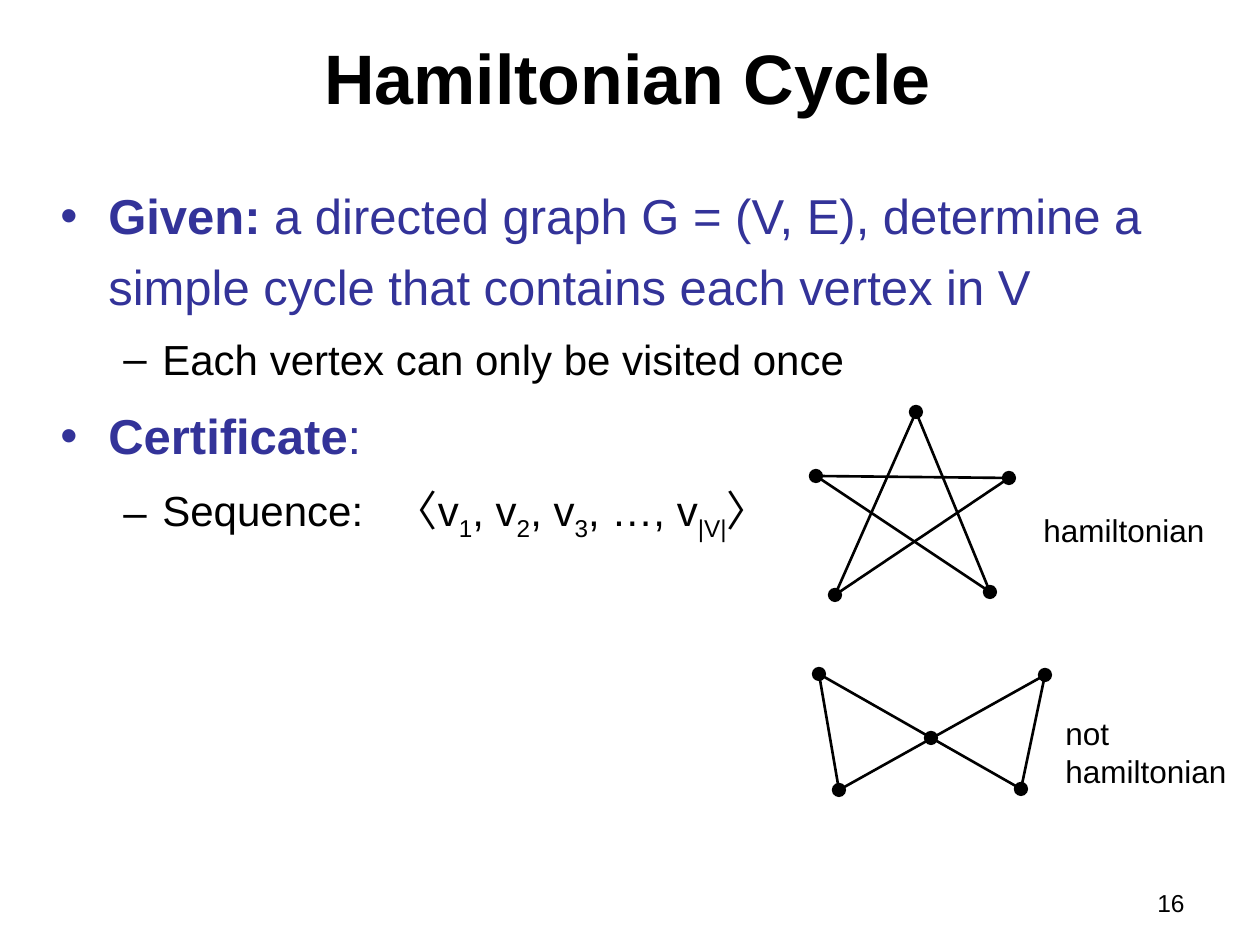
import pptx
import pptx.dml.color
import pptx.enum.shapes
import pptx.enum.text
import pptx.oxml.ns
import pptx.util
from lxml import etree

PX = 914400 / 126
BLACK, BLUE = "000000", "333399"
DOT = 13
ALIGN = pptx.enum.text.PP_ALIGN
ANCHOR = pptx.enum.text.MSO_ANCHOR


def px(n):
    return pptx.util.Emu(round(n * PX))


def rgb(color):
    return pptx.dml.color.RGBColor.from_string(color)


def child(parent, tag, **attrs):
    return etree.SubElement(parent, pptx.oxml.ns.qn(tag), attrs)


def add_run(p, text, size, color=BLACK, bold=False):
    r = p.add_run()
    r.text = text
    r.font.name = "Arial"
    r.font.size = pptx.util.Pt(size)
    r.font.bold = bold
    r.font.color.rgb = rgb(color)
    return r


def add_box(s, x, y, w, h, wrap=True, anchor=ANCHOR.TOP):
    tf = s.shapes.add_textbox(px(x), px(y), px(w), px(h)).text_frame
    tf.word_wrap = wrap
    tf.vertical_anchor = anchor
    return tf


def add_line_of_text(s, box, text, size, align, bold=False, anchor=ANCHOR.TOP):
    p = add_box(s, *box, anchor=anchor).paragraphs[0]
    p.alignment = align
    add_run(p, text, size, bold=bold)


def add_item(tf, level, runs):
    """Add a bulleted paragraph; each run is (text, style), style "", "bold", "sub" or "gap"."""
    size, color, bullet, margin, indent = [
        (28, BLUE, "•", 48, 48), (24, BLACK, "–", 102, 39)][level]
    p = tf.paragraphs[0]
    if p.runs:
        p = tf.add_paragraph()
        p.space_before = pptx.util.Pt(size * 0.2)
    p.level = level
    p.line_spacing = 1.2
    pPr = p._p.get_or_add_pPr()
    pPr.set("marL", str(px(margin)))
    pPr.set("indent", str(-px(indent)))
    child(pPr, "a:buFont", typeface="Arial")
    child(pPr, "a:buChar", char=bullet)
    for text, style in runs:
        r = add_run(p, text, size, color, style == "bold")
        rPr = r._r.get_or_add_rPr()
        if style == "sub":
            rPr.set("baseline", "-25000")
        elif style == "gap":
            rPr.set("spc", "1200")


def add_body(s, x, y, w, h):
    tf = add_box(s, x, y, w, h)
    add_item(tf, 0, [("Given:", "bold"),
                     (" a directed graph G = (V, E), determine a simple cycle"
                      " that contains each vertex in V", "")])
    add_item(tf, 1, [("Each vertex can only be visited once", "")])
    add_item(tf, 0, [("Certificate", "bold"), (":", "")])
    add_item(tf, 1, [("Sequence:", ""), (" ", "gap"),
                     ("〈v", ""), ("1", "sub"), (", v", ""), ("2", "sub"),
                     (", v", ""), ("3", "sub"), (", …, v", ""),
                     ("|V|", "sub"), ("〉", "")])


def add_graph(s, x, y, vertices, edges, label, label_box):
    """Draw edges, label and vertex dots, all relative to (x, y)."""
    points = [(x + dx, y + dy) for dx, dy in vertices]
    for a, b in edges:
        ends = [px(n) for n in points[a] + points[b]]
        c = s.shapes.add_connector(
            pptx.enum.shapes.MSO_CONNECTOR.STRAIGHT, *ends)
        c.line.color.rgb = rgb(BLACK)
        c.line.width = pptx.util.Pt(1.5)
        child(c._element.spPr, "a:effectLst")

    dx, dy, w, h = label_box
    tf = add_box(s, x + dx, y + dy, w, h, wrap=False)
    tf.auto_size = pptx.enum.text.MSO_AUTO_SIZE.SHAPE_TO_FIT_TEXT
    for i, text in enumerate(label):
        p = tf.add_paragraph() if i else tf.paragraphs[0]
        add_run(p, text, 18)

    for cx, cy in points:
        dot = s.shapes.add_shape(
            pptx.enum.shapes.MSO_SHAPE.OVAL,
            px(cx - DOT / 2), px(cy - DOT / 2), px(DOT), px(DOT))
        dot.shadow.inherit = False
        dot.fill.solid()
        dot.fill.fore_color.rgb = rgb(BLACK)
        dot.line.color.rgb = rgb(BLACK)
        dot.line.width = pptx.util.Pt(0.75)


def main():
    prs = pptx.Presentation()
    prs.slide_width, prs.slide_height = px(1260), px(945)
    s = prs.slides.add_slide(prs.slide_layouts[6])

    add_line_of_text(s, (903, 882, 294, 44), "16", 14, ALIGN.RIGHT)
    add_line_of_text(s, (24, 14, 1207, 125), "Hamiltonian Cycle", 40,
                     ALIGN.CENTER, bold=True, anchor=ANCHOR.MIDDLE)
    add_body(s, 48, 168, 1134, 699)
    add_graph(s, 816, 412,
              [(100, 0), (193, 66), (0, 64), (174, 180), (19, 183)],
              [(2, 1), (0, 3), (0, 4), (1, 4), (2, 3)],
              ["hamiltonian"], (215, 93, 186, 50))
    add_graph(s, 819, 674,
              [(0, 0), (226, 1), (20, 116), (202, 115), (112, 64)],
              [(0, 3), (1, 2), (0, 2), (1, 3)],
              ["not", "hamiltonian"], (234, 34, 186, 88))
    prs.save("out.pptx")


if __name__ == "__main__":
    main()
